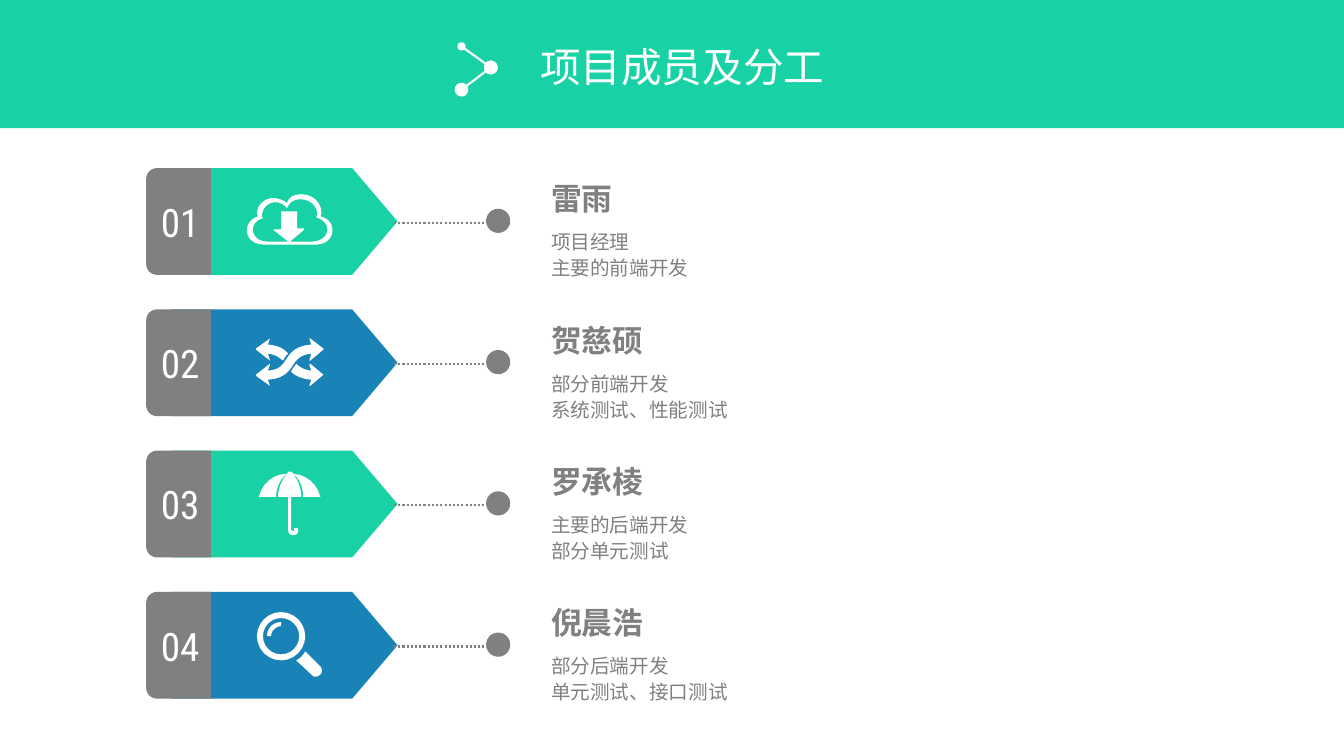
from lxml.etree import SubElement
from pptx import Presentation
from pptx.dml.color import RGBColor
from pptx.enum.dml import MSO_LINE as Dash
from pptx.enum.shapes import MSO_CONNECTOR as Link, MSO_SHAPE as Kind
from pptx.enum.text import MSO_ANCHOR as Anchor, PP_ALIGN as Align
from pptx.oxml.ns import qn
from pptx.util import Cm, Pt

GREEN = RGBColor(0x18, 0xD2, 0xA6)
BLUE = RGBColor(0x19, 0x83, 0xB7)
GREY = RGBColor(0x80, 0x80, 0x80)
WHITE = RGBColor(0xFF, 0xFF, 0xFF)
SANS = "Noto Sans CJK SC"
MID = 7.16  # centre of the arrows, in cm
UNIT = Cm(2.54) / 100  # icon grid step

# Icon outlines around the arrow's centre: M move, L line, C curve
CLOUD = ["""M 36 -5 C 37 -7 37 -8 37 -9 C 37 -19 28 -27 17 -27
 C 4 -27 3 -18 3 -18 C 3 -18 -3 -24 -13 -23 C -21 -22 -27 -15 -27 -8
 C -27 -7 -26 -6 -26 -5 C -32 -3 -37 2 -37 9 C -37 17 -30 23 -20 23
 L 32 23 C 41 23 48 17 48 9 C 48 2 44 -3 36 -5
 M 28 20 L 6 20 L 19 9 C 21 7 20 7 18 7 L 13 7 L 13 -10 L -3 -10 L -3 8
 L -9 8 C -12 8 -10 9 -10 9 L 4 20 L -17 20 C -25 20 -31 15 -31 8
 C -31 3 -27 -2 -21 -3 C -22 -4 -22 -5 -22 -6 C -22 -12 -17 -18 -10 -19
 C -2 -20 3 -13 3 -13 C 3 -13 5 -22 16 -22 C 25 -22 33 -16 33 -7
 C 33 -6 32 -5 32 -4 C 38 -2 43 2 43 8 C 43 15 36 20 28 20"""]
CROSS = ["""M 39 12 L 26 23 L 25 23 L 27 17 C 17 16 11 13 7 9
 C 8 7 9 5 11 3 C 11 2 12 2 12 1 C 15 4 19 7 27 8 L 25 2 L 26 1
 M -14 -2 L -16 -9 C -8 -8 -5 -5 -1 -2 C -1 -3 0 -3 0 -4
 C 1 -6 3 -8 4 -9 C 0 -14 -6 -17 -16 -18 L -14 -24 L -28 -14 L -28 -13
 M 9 2 C 13 -4 17 -8 27 -9 L 25 -2 L 26 -2 L 39 -13 L 39 -14 L 26 -24
 L 25 -24 L 27 -18 C 12 -17 6 -10 2 -3 C -2 3 -5 7 -16 8 L -14 2 L -14 1
 L -28 12 L -28 13 L -14 23 L -16 17 C -1 16 5 9 9 2"""]
SHADE = ["""M 19 -7 L 36 -7 C 33 -20 22 -29 9 -30 C 8 -32 7 -32 6 -32
 C 4 -32 4 -32 3 -30 C -11 -30 -22 -20 -25 -7 L -8 -7
 C -8 -21 1 -29 3 -30 C -7 -18 -6 -7 -6 -7 L 4 -7 L 4 26
 C 4 29 6 31 9 31 C 12 31 14 29 14 26 L 14 24 L 10 24 L 10 25
 C 10 26 10 27 9 27 C 8 27 7 26 7 25 L 7 -7 L 17 -7
 C 17 -7 18 -18 9 -30 C 11 -29 19 -21 19 -7"""]
LENS = [
    """M 36 21 L 21 6 C 19 10 16 13 12 15 L 27 29 C 29 32 33 32 36 29
 C 38 27 38 23 36 21""",
    """M 21 -9 C 21 -22 10 -33 -3 -33 C -16 -33 -27 -22 -27 -9
 C -27 4 -16 15 -3 15 C 10 15 21 4 21 -9
 M -3 9 C -13 9 -21 1 -21 -9 C -21 -19 -13 -27 -3 -27
 C 7 -27 15 -19 15 -9 C 15 1 7 9 -3 9""",
    "M -17 -9 L -13 -9 C -13 -14 -8 -19 -3 -19 L -3 -23 C -11 -23 -17 -17 -17 -9",
]

TEAM = [
    ("雷雨", ["项目经理", "主要的前端开发"], GREEN, CLOUD),
    ("贺慈硕", ["部分前端开发", "系统测试、性能测试"], BLUE, CROSS),
    ("罗承棱", ["主要的后端开发", "部分单元测试"], GREEN, SHADE),
    ("倪晨浩", ["部分后端开发", "单元测试、接口测试"], BLUE, LENS),
]


def paint(shape, color):
    shape.shadow.inherit = False
    shape.fill.solid()
    shape.fill.fore_color.rgb = color
    shape.line.fill.background()


def style(para, size, color, face, bold=False):
    font = para.font
    font.size, font.bold, font.name = Pt(size), bold, face
    font.color.rgb = color
    SubElement(para._p.pPr.find(qn("a:defRPr")), qn("a:ea"), typeface=face)


def add_box(slide, kind, x, y, w, h, color):
    shape = slide.shapes.add_shape(kind, Cm(x), Cm(y), Cm(w), Cm(h))
    paint(shape, color)
    return shape


def add_turned(slide, kind, x, y, w, h, color):
    """Place a shape by its centre and turn it to face right."""
    shape = add_box(slide, kind, x - w / 2, y - h / 2, w, h, color)
    shape.rotation = 270
    return shape


def add_text(slide, x, y, w, h, lines, size, color, face,
             bold=False, wrap=True, space=1.0):
    frame = slide.shapes.add_textbox(Cm(x), Cm(y), Cm(w), Cm(h)).text_frame
    frame.word_wrap = wrap
    frame.text = "\n".join(lines)
    for para in frame.paragraphs:
        para.line_spacing = space
        style(para, size, color, face, bold)


def add_line(slide, start, end, color):
    x1, y1, x2, y2 = (Cm(v) for v in (*start, *end))
    line = slide.shapes.add_connector(Link.STRAIGHT, x1, y1, x2, y2)
    line.line.color.rgb = color
    line.line.width = Pt(1.5)
    SubElement(line._element.spPr, qn("a:effectLst"))
    return line


def add_ends(line, head, tail):
    for tag, size in (("a:headEnd", head), ("a:tailEnd", tail)):
        SubElement(line.line._get_or_add_ln(), qn(tag), type="oval", w=size, len=size)


def bend(a, b, c, d, steps=6):
    """Points along a cubic curve, without its start."""
    for i in range(1, steps + 1):
        t = i / steps
        u = 1 - t
        yield tuple(u**3 * p + 3 * u * u * t * q + 3 * u * t * t * r + t**3 * s
                    for p, q, r, s in zip(a, b, c, d))


def trace(text):
    """Turn an outline into lists of points, one for each contour."""
    parts = []
    for word in text.replace("M", "|M").replace("L", "|L").replace("C", "|C").split("|")[1:]:
        mark, *nums = word.split()
        nums = [int(n) * UNIT for n in nums]
        pts = list(zip(nums[::2], nums[1::2]))
        if mark == "M":
            parts.append(pts)
        elif mark == "L":
            parts[-1] += pts
        else:
            parts[-1] += bend(parts[-1][-1], *pts)
    return parts


def add_icon(slide, paths, y):
    for text in paths:
        first, *rest = trace(text)
        pen = slide.shapes.build_freeform(*first[0], scale=1.0)
        pen.add_line_segments(first[1:])
        for part in rest:
            pen.move_to(*part[0])
            pen.add_line_segments(part[1:])
        paint(pen.convert_to_shape(Cm(MID), Cm(y)), WHITE)


def add_header(slide):
    add_box(slide, Kind.RECTANGLE, 0, 0, 33.87, 3.23, GREEN)
    add_text(slide, 13.36, 0.94, 7.75, 1.5, ["项目成员及分工"], 29, WHITE, "Arial", wrap=False)
    top, tip, low = (11.63, 1.17), (12.37, 1.7), (11.63, 2.26)
    add_ends(add_line(slide, top, tip, WHITE), "med", "lg")
    add_ends(add_line(slide, tip, low, WHITE), "lg", "lg")


def add_member(slide, num, y, name, roles, color, icon):
    # Name and tasks
    add_text(slide, 13.64, y - 1.17, 6.68, 1.19, [name], 22, GREY, SANS, bold=True)
    add_text(slide, 13.64, y + 0.04, 17.37, 1.55, roles, 14, GREY, SANS, space=1.1)

    # Arrow with numbered tab
    add_turned(slide, Kind.FLOWCHART_OFFPAGE_CONNECTOR, MID, y, 2.69, 5.72, color)
    tab = add_turned(slide, Kind.ROUND_2_SAME_RECTANGLE, 4.5, y, 2.69, 1.63, GREY)
    frame = tab.text_frame
    frame._txBody.bodyPr.set("vert", "vert")
    frame.vertical_anchor = Anchor.MIDDLE
    frame.text = f"{num:02}"
    para = frame.paragraphs[0]
    para.alignment = Align.CENTER
    style(para, 28, WHITE, "Roboto Condensed")
    add_icon(slide, icon, y)

    # Dotted lead and dot
    lead = add_line(slide, (9.93, y + 0.03), (12.29, y + 0.03), GREY)
    lead.line.dash_style = Dash.ROUND_DOT
    dot = add_box(slide, Kind.OVAL, 12.29, y - 0.28, 0.53, 0.53, GREY)
    dot.line.color.rgb = GREY
    dot.line.width = Pt(2.25)


def main():
    deck = Presentation()
    deck.slide_width, deck.slide_height = Cm(33.87), Cm(19.05)
    slide = deck.slides.add_slide(deck.slide_layouts[6])
    add_header(slide)
    for i, member in enumerate(TEAM):
        add_member(slide, i + 1, 5.58 + 3.56 * i, *member)
    deck.save("out.pptx")


if __name__ == "__main__":
    main()
